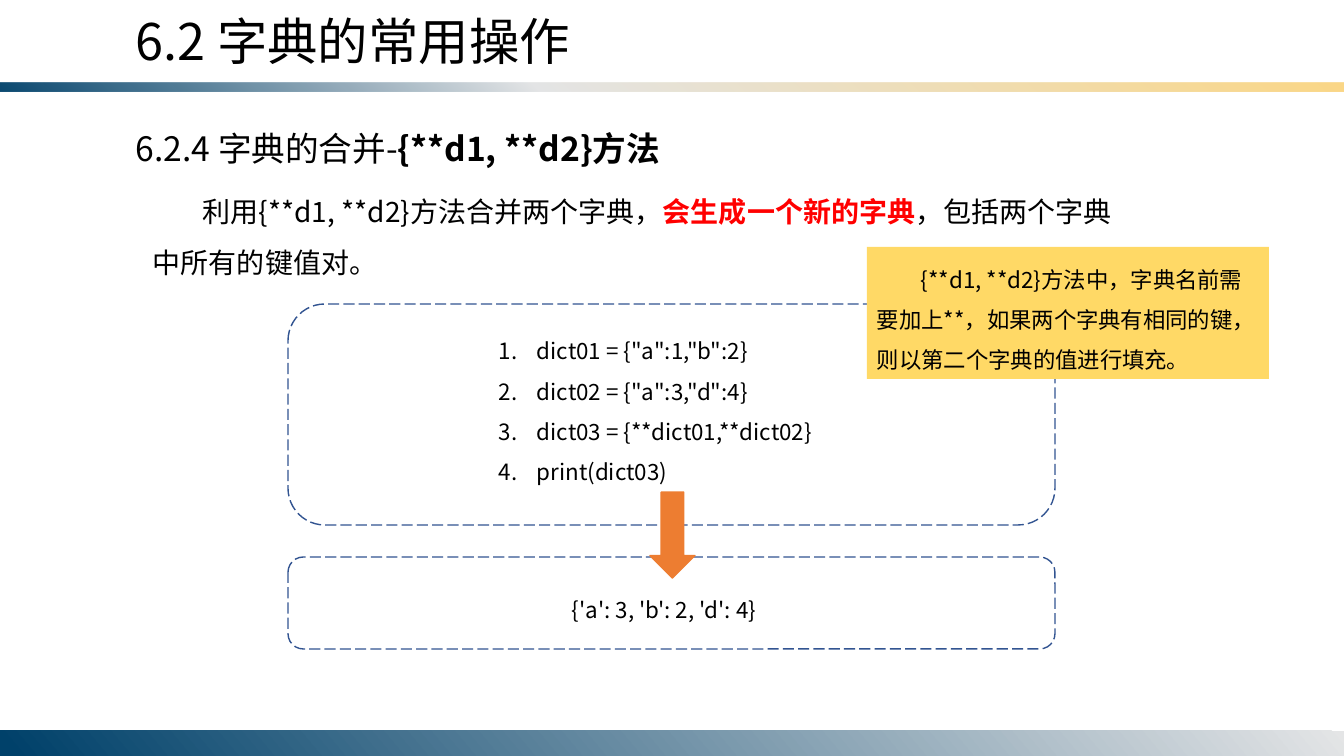
import lxml.etree
import pptx
import pptx.dml.color
import pptx.enum.dml
import pptx.enum.shapes
import pptx.enum.text
import pptx.oxml
import pptx.oxml.ns
import pptx.util

PX = 914400 / 100.8
FONT = "Noto Sans CJK SC"
SHAPES = pptx.enum.shapes.MSO_SHAPE
FRAME_LEFT, FRAME_WIDTH = 288, 767


def px(length):
    return pptx.util.Emu(round(length * PX))


def color(value):
    return pptx.dml.color.RGBColor.from_string(value)


def apply(target, values):
    for name, value in values.items():
        setattr(target, name, value)


def add_child(parent, tag, **attributes):
    child = lxml.etree.SubElement(parent, pptx.oxml.ns.qn(tag))
    for name, value in attributes.items():
        child.set(name, str(value))
    return child


def add_shape(slide, kind, box, fill=None, line=None, dash=None):
    shape = slide.shapes.add_shape(kind, *map(px, box))
    shape.shadow.inherit = False
    if fill:
        shape.fill.solid()
        shape.fill.fore_color.rgb = color(fill)
    else:
        shape.fill.background()
    if line:
        shape.line.color.rgb = color(line)
        apply(shape.line, {"width": pptx.util.Pt(1), "dash_style": dash})
    else:
        shape.line.fill.background()
    return shape


def add_gradient_bar(slide, box, stops, angle, flipped=False):
    """Add a full-width bar; each stop is (percent, colour, opacity percent)."""
    bar = add_shape(slide, SHAPES.RECTANGLE, box)
    properties = bar._element.spPr
    if flipped:
        properties.find(pptx.oxml.ns.qn("a:xfrm")).set("flipV", "1")
    gradient = add_child(properties, "a:gradFill", rotWithShape=1)
    stop_list = add_child(gradient, "a:gsLst")
    for position, value, opacity in stops:
        stop = add_child(stop_list, "a:gs", pos=position * 1000)
        stop_color = add_child(stop, "a:srgbClr", val=value)
        if opacity < 100:
            add_child(stop_color, "a:alpha", val=opacity * 1000)
    add_child(gradient, "a:lin", ang=angle * 60000, scaled=0)
    no_fill = properties.find(pptx.oxml.ns.qn("a:noFill"))
    properties.replace(no_fill, gradient)


def write_text(shape, paragraphs, size, spacing=1.0, margin=0, indent=0, numbered=False):
    """Fill a shape; a paragraph is a list of (text, font values) runs."""
    frame = shape.text_frame
    apply(frame, {
        "word_wrap": True,
        "auto_size": pptx.enum.text.MSO_AUTO_SIZE.SHAPE_TO_FIT_TEXT,
    })
    for index, runs in enumerate(paragraphs):
        paragraph = frame.paragraphs[0] if index == 0 else frame.add_paragraph()
        apply(paragraph, {
            "alignment": pptx.enum.text.PP_ALIGN.LEFT,
            "line_spacing": spacing,
        })
        properties = paragraph._p.get_or_add_pPr()
        properties.set("marL", str(px(margin)))
        properties.set("indent", str(px(indent)))
        if numbered:
            add_child(properties, "a:buFont", typeface=FONT)
            add_child(properties, "a:buAutoNum", type="arabicPeriod")
        for text, values in runs:
            run = paragraph.add_run()
            run.text = text
            font_values = {"name": FONT, "size": pptx.util.Pt(size), "bold": False}
            apply(run.font, font_values | {k: v for k, v in values.items() if k != "color"})
            run.font.color.rgb = color(values.get("color", "000000"))
            add_child(run._r.get_or_add_rPr(), "a:ea", typeface=FONT)


def add_text(slide, box, paragraphs, size, **layout):
    write_text(slide.shapes.add_textbox(*map(px, box)), paragraphs, size, **layout)


def add_dashed_frame(slide, top, height):
    add_shape(slide, SHAPES.ROUNDED_RECTANGLE, (FRAME_LEFT, top, FRAME_WIDTH, height),
              line="325491", dash=pptx.enum.dml.MSO_LINE.LONG_DASH)


def main():
    presentation = pptx.Presentation()
    apply(presentation, {"slide_width": px(1344), "slide_height": px(756)})
    slide = presentation.slides.add_slide(presentation.slide_layouts[6])

    add_gradient_bar(slide, (0, 83, 1344, 9),
                     [(0, "00416A", 95), (40, "E4E5E6", 100), (100, "FBD786", 100)],
                     50, flipped=True)
    add_gradient_bar(slide, (0, 731, 1344, 25),
                     [(0, "E4E5E6", 100), (99, "00416A", 100)], 140)

    add_text(slide, (126, 5, 617, 72), [[("6.2 字典的常用操作", {})]], 36)
    add_text(slide, (126, 123, 805, 50),
             [[("6.2.4 字典的合并-", {}), ("{**d1, **d2}方法", {"bold": True})]], 24)
    add_text(slide, (143, 173, 981, 112), [[
        ("利用{**d1, **d2}方法合并两个字典，", {}),
        ("会生成一个新的字典", {"bold": True, "color": "FF0000"}),
        ("，包括两个字典中所有的键值对。", {}),
    ]], 20, spacing=1.5, indent=50)

    code = [
        'dict01 = {"a":1,"b":2}',
        'dict02 = {"a":3,"d":4}',
        "dict03 = {**dict01,**dict02}",
        "print(dict03)",
    ]
    add_text(slide, (489, 319, 366, 173), [[(line, {})] for line in code], 16,
             spacing=1.5, margin=38, indent=-38, numbered=True)
    add_dashed_frame(slide, 304, 221)
    add_text(slide, (562, 578, 219, 50), [[("{'a': 3, 'b': 2, 'd': 4}", {})]], 16,
             spacing=1.5)
    add_dashed_frame(slide, 557, 92)
    add_shape(slide, SHAPES.DOWN_ARROW, (650, 492, 45, 86), "ED7D31", "ED7D31")

    note = add_shape(slide, SHAPES.RECTANGLE, (867, 247, 402, 132), "FFD966")
    write_text(note, [[(
        "{**d1, **d2}方法中，字典名前需要加上**，如果两个字典有相同的键，"
        "则以第二个字典的值进行填充。", {})]], 16, spacing=1.5, indent=44)

    presentation.save("out.pptx")


if __name__ == "__main__":
    main()
